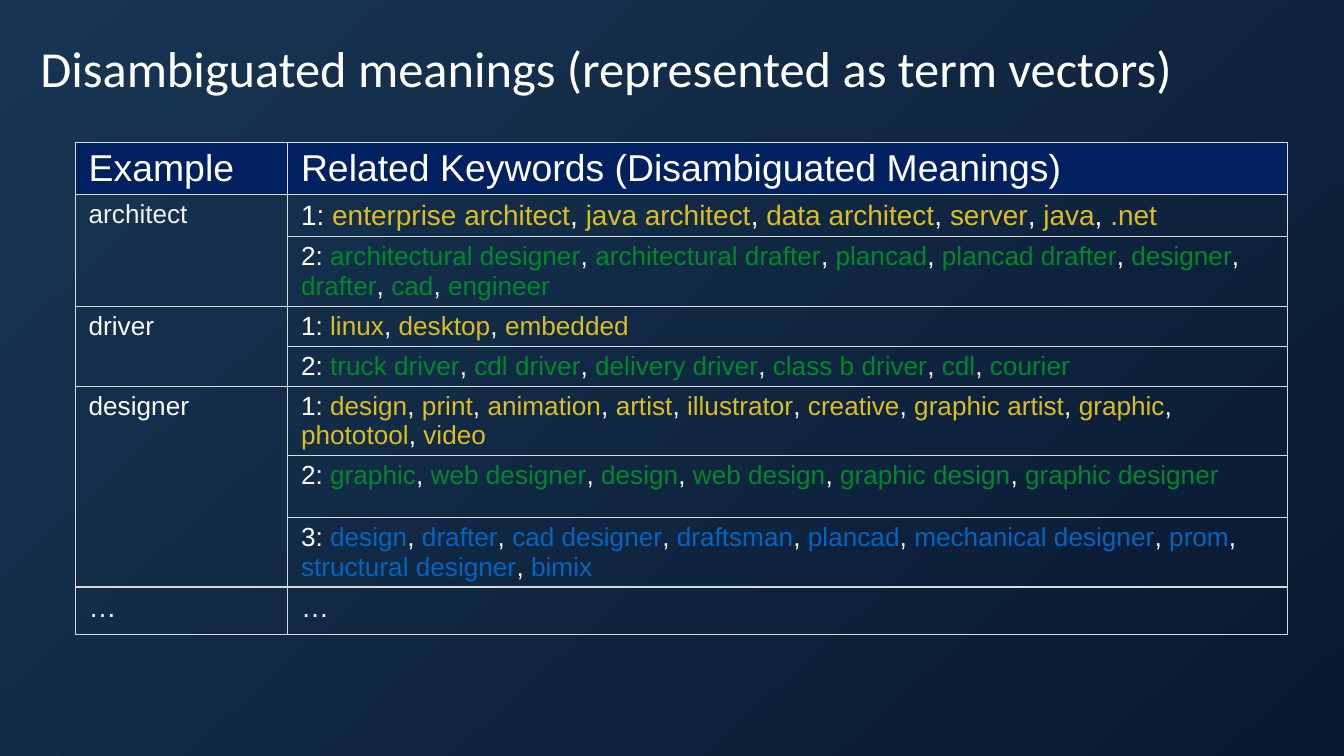
from pptx import Presentation
from pptx.dml.color import RGBColor
from pptx.enum.text import MSO_ANCHOR, PP_ALIGN
from pptx.oxml import parse_xml
from pptx.oxml.ns import nsdecls
from pptx.util import Inches, Pt

WHITE, PALE, NAVY, BORDER = "FFFFFF", "EFF3F4", "002060", "D9D9D9"
MEANING_COLORS = ["DCBD23", "00882B", "0365C0"]

COLUMN_WIDTHS = [1.58, 7.44]
ROW_HEIGHTS = [0.33, 0.26, 0.46, 0.26, 0.26, 0.46, 0.46, 0.46, 0.35]

# Each example word with its color and the keywords of each meaning
EXAMPLES = [
    ("architect", PALE, [
        "enterprise architect, java architect, data architect, server, java, .net",
        "architectural designer, architectural drafter, plancad, plancad drafter, "
        "designer, drafter, cad, engineer",
    ]),
    ("driver", WHITE, [
        "linux, desktop, embedded",
        "truck driver, cdl driver, delivery driver, class b driver, cdl, courier",
    ]),
    ("designer", WHITE, [
        "design, print, animation, artist, illustrator, creative, graphic artist, "
        "graphic, phototool, video",
        "graphic, web designer, design, web design, graphic design, graphic designer",
        "design, drafter, cad designer, draftsman, plancad, mechanical designer, "
        "prom, structural designer, bimix",
    ]),
]


def rgb(color):
    return RGBColor.from_string(color)


def add_run(paragraph, text, size, color, font="Arial"):
    run = paragraph.add_run()
    run.text = text
    formats = {"name": font, "size": Pt(size), "bold": False}
    for name, value in formats.items():
        setattr(run.font, name, value)
    run.font.color.rgb = rgb(color)


presentation = Presentation()
presentation.slide_width = Inches(10)
presentation.slide_height = Inches(10 * 9 / 16)
slide = presentation.slides.add_slide(presentation.slide_layouts[5])

# Background
background = slide.background.fill
background.gradient()
background.gradient_angle = 312
for stop, color, position in zip(background.gradient_stops, ["173653", "091831"], [0, 1]):
    stop.color.rgb = rgb(color)
    stop.position = position

# Title
title = slide.shapes.title
title_box = {"left": 0.24, "top": 0.26, "width": 9.64, "height": 0.48}
for name, value in title_box.items():
    setattr(title, name, Inches(value))
margins = {"margin_left": 0.06, "margin_right": 0.06, "margin_top": 0.03, "margin_bottom": 0.03}
for name, value in margins.items():
    setattr(title.text_frame, name, Inches(value))
title.text_frame.vertical_anchor = MSO_ANCHOR.MIDDLE
title_paragraph = title.text_frame.paragraphs[0]
title_paragraph.alignment = PP_ALIGN.LEFT
add_run(title_paragraph, "Disambiguated meanings (represented as term vectors)", 27, WHITE, "Calibri")

# Table grid
table = slide.shapes.add_table(
    len(ROW_HEIGHTS), len(COLUMN_WIDTHS), Inches(0.56), Inches(1.06),
    Inches(sum(COLUMN_WIDTHS)), Inches(sum(ROW_HEIGHTS)),
).table
for column, width in zip(table.columns, COLUMN_WIDTHS):
    column.width = Inches(width)
for row, height in zip(table.rows, ROW_HEIGHTS):
    row.height = Inches(height)

for index, cell in enumerate(table.iter_cells()):
    cell.margin_left = cell.margin_right = Inches(0.1)
    cell.margin_top = cell.margin_bottom = Inches(0.04)
    properties = cell._tc.get_or_add_tcPr()
    for side in ("lnL", "lnR", "lnT", "lnB"):
        properties.append(parse_xml(
            f'<a:{side} {nsdecls("a")} w="{Pt(0.75)}"><a:solidFill>'
            f'<a:srgbClr val="{BORDER}"/></a:solidFill></a:{side}>'
        ))
    if index < len(COLUMN_WIDTHS):
        cell.fill.solid()
        cell.fill.fore_color.rgb = rgb(NAVY)
    else:
        cell.fill.background()

# Header and closing rows
headings = ["Example", "Related Keywords (Disambiguated Meanings)"]
for column, heading in enumerate(headings):
    add_run(table.cell(0, column).text_frame.paragraphs[0], heading, 20, WHITE)
    last_cell = table.cell(len(ROW_HEIGHTS) - 1, column)
    add_run(last_cell.text_frame.paragraphs[0], "…", 15, PALE)

# Examples, one row for each meaning
row = 1
for word, word_color, meanings in EXAMPLES:
    word_cell = table.cell(row, 0)
    word_cell.merge(table.cell(row + len(meanings) - 1, 0))
    add_run(word_cell.text_frame.paragraphs[0], word, 14, word_color)
    for number, (keywords, color) in enumerate(zip(meanings, MEANING_COLORS), start=1):
        size = 15 if row == 1 else 14
        paragraph = table.cell(row, 1).text_frame.paragraphs[0]
        separator = f"{number}: "
        for keyword in keywords.split(", "):
            add_run(paragraph, separator, size, WHITE)
            add_run(paragraph, keyword, size, color)
            separator = ", "
        row += 1

presentation.save("out.pptx")
